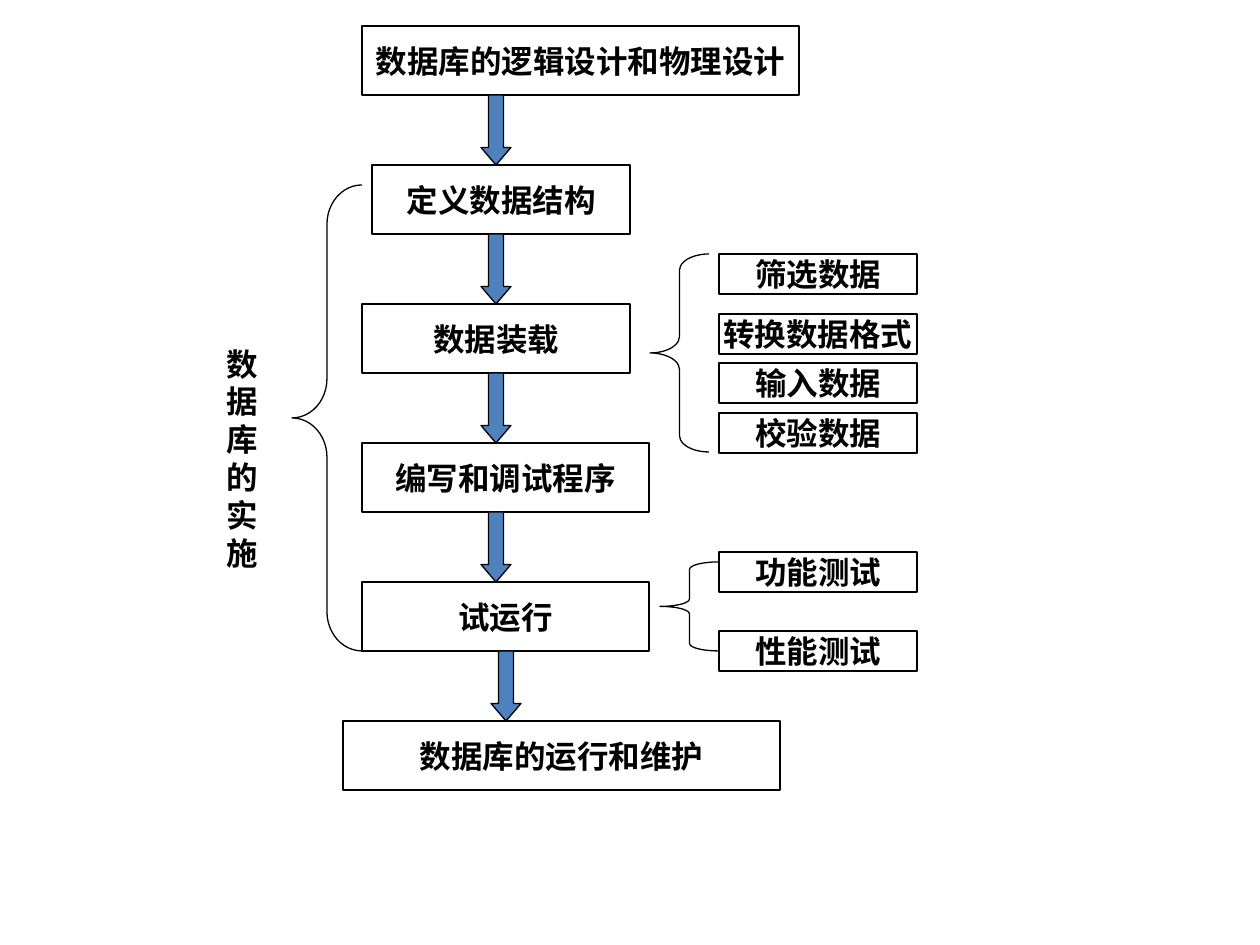
from pptx import Presentation
from pptx.dml.color import RGBColor
from pptx.enum.shapes import MSO_SHAPE
from pptx.enum.text import MSO_ANCHOR, PP_ALIGN
from pptx.util import Pt

PX = 914400 / 126
BLACK, BLUE = "000000", "4F81BD"
FONT = {"name": "Calibri", "size": Pt(18), "bold": True}
FRAME = {"word_wrap": False, "vertical_anchor": MSO_ANCHOR.MIDDLE}

ROW_H, ROW_STEP = 69, 139
# text, offset from the left of the flow, width
STAGES = [
    ("数据库的逻辑设计和物理设计", 19, 437),
    ("定义数据结构", 29, 258),
    ("数据装载", 19, 268),
    ("编写和调试程序", 19, 287),
    ("试运行", 19, 287),
    ("数据库的运行和维护", 0, 437),
]
ARROW_OFFSETS = [138, 138, 138, 138, 148]
# text, offset from the top of the branch
LOADING = [("筛选数据", 0), ("转换数据格式", 60), ("输入数据", 109), ("校验数据", 159)]
TRIAL = [("功能测试", 0), ("性能测试", 79)]


def emu(*lengths):
    return [round(n * PX) for n in lengths]


def color(hex_text):
    return RGBColor.from_string(hex_text)


def write(sp, lines):
    tf = sp.text_frame
    for key, value in FRAME.items():
        setattr(tf, key, value)
    for i, line in enumerate(lines):
        p = tf.paragraphs[0] if i == 0 else tf.add_paragraph()
        p.alignment = PP_ALIGN.CENTER
        r = p.add_run()
        r.text = line
        r.font.color.rgb = color(BLACK)
        for key, value in FONT.items():
            setattr(r.font, key, value)


def add_outlined(s, kind, box, fill=None, adjustments=()):
    sp = s.shapes.add_shape(kind, *emu(*box))
    sp.shadow.inherit = False
    if fill:
        sp.fill.solid()
        sp.fill.fore_color.rgb = color(fill)
    else:
        sp.fill.background()
    sp.line.color.rgb = color(BLACK)
    sp.line.width = Pt(0.75)
    for i, value in enumerate(adjustments):
        sp.adjustments[i] = value
    return sp


def add_label(s, text, box):
    write(add_outlined(s, MSO_SHAPE.RECTANGLE, box), [text])


def add_brace(s, box, curve):
    add_outlined(s, MSO_SHAPE.LEFT_BRACE, box, adjustments=(curve, 0.5))


def add_flow(s, x, y):
    """Stack the stages downwards, with an arrow between each pair."""
    for i, (text, dx, w) in enumerate(STAGES):
        add_label(s, text, (x + dx, y + i * ROW_STEP, w, ROW_H))
    for i, dx in enumerate(ARROW_OFFSETS):
        top = y + i * ROW_STEP + ROW_H
        add_outlined(s, MSO_SHAPE.DOWN_ARROW, (x + dx, top, 30, ROW_STEP - ROW_H),
                     BLUE, (0.5, 0.585))


def add_branch(s, x, y, items, brace, curve):
    """Stack the detail boxes, with a brace placed relative to them."""
    for text, dy in items:
        add_label(s, text, (x, y + dy, 198, 40))
    dx, dy, w, h = brace
    add_brace(s, (x + dx, y + dy, w, h), curve)


def add_phase(s, x, y):
    """Set the phase name upright, to the left of its brace."""
    add_brace(s, (x + 79, y, 70, 466), 0.56)
    write(s.shapes.add_textbox(*emu(x, y + 99, 59, 348)), "数据库的实施")


def main():
    prs = Presentation()
    prs.slide_width, prs.slide_height = emu(1260, 945)
    s = prs.slides.add_slide(prs.slide_layouts[6])
    add_flow(s, 343, 26)
    add_branch(s, 719, 254, LOADING, (-69, 0, 59, 198), 0.278)
    add_branch(s, 719, 552, TRIAL, (-59, 10, 59, 89), 0.125)
    add_phase(s, 213, 185)
    prs.save("out.pptx")


if __name__ == "__main__":
    main()
